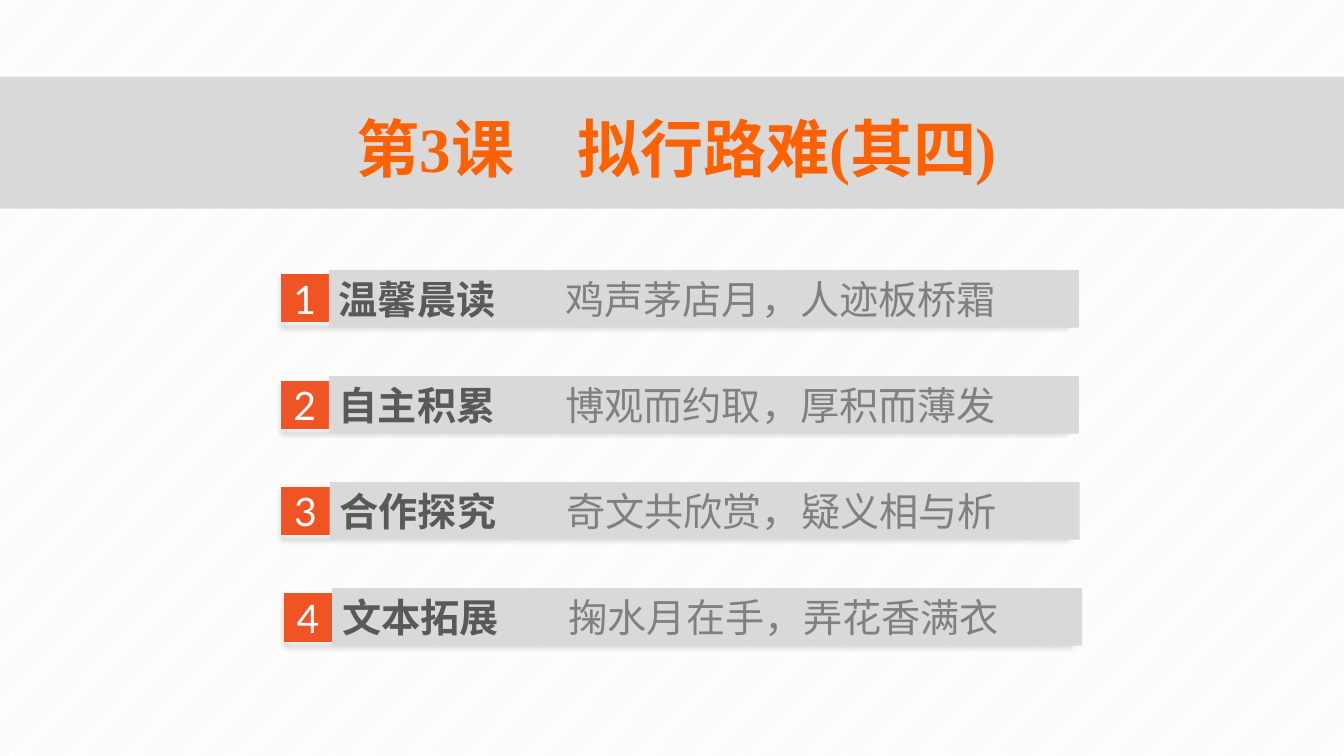
"""Builds the contents slide of a poetry lesson."""
from dataclasses import dataclass

import pptx
import pptx.util
import pptx.dml.color
import pptx.enum.dml
import pptx.enum.shapes
import pptx.enum.text
import pptx.oxml
import pptx.oxml.ns
from pptx.util import Cm

TITLE = "第3课\u3000拟行路难(其四)".replace("\u3000", "　")
SECTIONS = [
    ("温馨晨读", "鸡声茅店月，人迹板桥霜", 0),
    ("自主积累", "博观而约取，厚积而薄发", 0),
    ("合作探究", "奇文共欣赏，疑义相与析", 0.02),
    ("文本拓展", "掬水月在手，弄花香满衣", 0.08),
]


@dataclass(frozen=True)
class Theme:
    """Colours, fonts and type sizes."""
    band: str = "D9D9D9"
    accent: str = "F05425"
    title: str = "FC6204"
    heading: str = "595959"
    verse: str = "808080"
    white: str = "FFFFFF"
    stripe: str = "F2F2F2"
    chinese_font: str = "Noto Sans CJK SC"
    number_font: str = "Lato"
    title_font: str = "Times New Roman"
    title_size: float = 45
    body_size: float = 28


THEME = Theme()
LEFT, BADGE_TOP, BAR_TOP = 7.09, 6.93, 6.81
BADGE_PITCH, BAR_PITCH = 2.68, 2.67
BADGE_SIDE, FRAME_WIDTH = 1.18, 19.79
BAR_OFFSET, BAR_WIDTH, BAR_HEIGHT = 1.2, 18.9, 1.45
VERSE_TAB = 5.71
SHADOW = (
    '<a:outerShdw %s blurRad="50800" dist="38100" dir="5400000" rotWithShape="0">'
    '<a:srgbClr val="000000"><a:alpha val="40000"/></a:srgbClr></a:outerShdw>'
)


def color(value):
    """Turns a hex string into a colour."""
    return pptx.dml.color.RGBColor.from_string(value)


def add_rectangle(shapes, left, top, width, height, fill=None, line=None):
    """Adds a flat rectangle, measured in centimetres."""
    shape = shapes.add_shape(pptx.enum.shapes.MSO_SHAPE.RECTANGLE,
                             Cm(left), Cm(top), Cm(width), Cm(height))
    shape.shadow.inherit = False
    if fill:
        shape.fill.solid()
        shape.fill.fore_color.rgb = color(fill)
    else:
        shape.fill.background()
    if line:
        shape.line.color.rgb = color(line)
        shape.line.width = pptx.util.Pt(1)
    else:
        shape.line.fill.background()
    return shape


def format_text(shape, alignment):
    """Centres the text vertically without insets and returns its paragraph."""
    frame = shape.text_frame
    frame.word_wrap = True
    frame.auto_size = pptx.enum.text.MSO_AUTO_SIZE.NONE
    frame.vertical_anchor = pptx.enum.text.MSO_ANCHOR.MIDDLE
    frame.margin_top = frame.margin_bottom = 0
    paragraph = frame.paragraphs[0]
    paragraph.alignment = alignment
    return paragraph


def add_run(paragraph, text, size, font, fill, bold=False):
    """Adds one formatted run."""
    run = paragraph.add_run()
    run.text = text
    run.font.size = pptx.util.Pt(size)
    run.font.bold = bold
    run.font.color.rgb = color(fill)
    run.font.name = font
    east_asian = pptx.oxml.parse_xml(
        f'<a:ea {pptx.oxml.ns.nsdecls("a")} typeface="{THEME.chinese_font}"/>')
    run.font._element.find(pptx.oxml.ns.qn("a:latin")).addnext(east_asian)


def add_title(slide):
    """Places the grey band and the title over it."""
    band = add_rectangle(slide.shapes, 0, 1.93, 33.87, 3.33, THEME.band)
    title = slide.shapes.title
    title.left, title.top, title.width, title.height = Cm(7.29), Cm(2.67), Cm(19.53), Cm(2.08)
    band.element.addnext(title.element)
    paragraph = format_text(title, pptx.enum.text.PP_ALIGN.CENTER)
    add_run(paragraph, TITLE, THEME.title_size, THEME.title_font, THEME.title, True)


def add_section(slide, index, heading, verse, shift):
    """Adds one numbered row as a group."""
    shapes = slide.shapes.add_group_shape().shapes
    left = LEFT + shift
    badge_top = BADGE_TOP + index * BADGE_PITCH
    frame = add_rectangle(shapes, left, badge_top, FRAME_WIDTH, BADGE_SIDE, line=THEME.accent)
    effects = frame.element.spPr.find(pptx.oxml.ns.qn("a:effectLst"))
    effects.append(pptx.oxml.parse_xml(SHADOW % pptx.oxml.ns.nsdecls("a")))

    badge = add_rectangle(shapes, left, badge_top, BADGE_SIDE, BADGE_SIDE,
                          THEME.accent, THEME.accent)
    paragraph = format_text(badge, pptx.enum.text.PP_ALIGN.CENTER)
    add_run(paragraph, str(index + 1), THEME.body_size, THEME.number_font, THEME.white)

    bar = add_rectangle(shapes, left + BAR_OFFSET, BAR_TOP + index * BAR_PITCH,
                        BAR_WIDTH, BAR_HEIGHT, THEME.band)
    paragraph = format_text(bar, pptx.enum.text.PP_ALIGN.LEFT)
    paragraph._p.get_or_add_pPr().append(pptx.oxml.parse_xml(
        f'<a:tabLst {pptx.oxml.ns.nsdecls("a")}>'
        f'<a:tab pos="{Cm(VERSE_TAB)}" algn="l"/></a:tabLst>'))
    add_run(paragraph, heading, THEME.body_size, THEME.chinese_font, THEME.heading, True)
    add_run(paragraph, "\t" + verse, THEME.body_size, THEME.chinese_font, THEME.verse)


def main():
    """Builds and saves the presentation."""
    presentation = pptx.Presentation()
    presentation.slide_width, presentation.slide_height = Cm(33.87), Cm(19.05)
    slide = presentation.slides.add_slide(presentation.slide_layouts[5])
    background = slide.background.fill
    background.patterned()
    background.pattern = pptx.enum.dml.MSO_PATTERN.LIGHT_UPWARD_DIAGONAL
    background.fore_color.rgb = color(THEME.stripe)
    background.back_color.rgb = color(THEME.white)
    add_title(slide)
    for index, (heading, verse, shift) in enumerate(SECTIONS):
        add_section(slide, index, heading, verse, shift)
    presentation.save("out.pptx")


if __name__ == "__main__":
    main()
